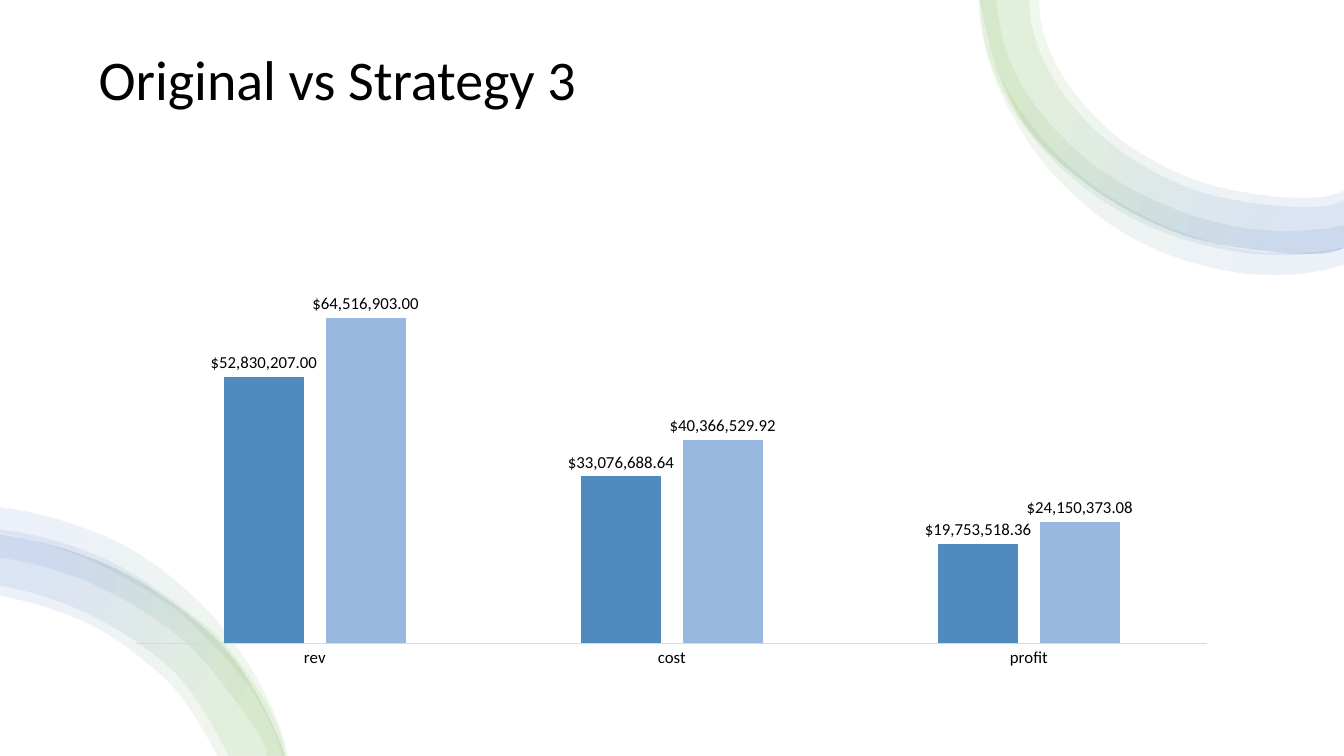
import dataclasses

import lxml.etree
import pptx
import pptx.chart.data
import pptx.dml.color
import pptx.enum.chart
import pptx.enum.shapes
import pptx.enum.text
import pptx.oxml
import pptx.oxml.ns
import pptx.util

# Grid: one column and one row are each a tenth of an inch
COLUMNS, ROWS = 133.33, 75
MODULE = pptx.util.Inches(0.1)
FONT = "Calibri"
COLORS = {
    "paper": "FFFFFF",
    "ink": "000000",
    "green": "70AD47",
    "blue": "4472C4",
    "baseline": "D9D9D9",
    "original": "518ABD",
    "strategy": "98B8E0",
}
CURRENCY = '"$"#,##0.00'
FADE = [(16, "green"), (85, "blue")]
FADE_OPACITY = 10

Point = tuple[float, float]


@dataclasses.dataclass(frozen=True)
class Band:
    """A curved ribbon between two edges, each given by points on the grid."""
    outer: list[Point]
    inner: list[Point]


@dataclasses.dataclass(frozen=True)
class Corner:
    fade_angle: int
    bands: list[Band]


@dataclasses.dataclass(frozen=True)
class Plan:
    name: str
    color: str
    amounts: tuple[float, ...]


TOP_SWEEP = [(97.3, 0), (100.9, 11.1), (108, 18.4), (117.4, 23.3), (127.9, 25.1), (COLUMNS, 24.5)]
BOTTOM_SWEEP = [(28.2, ROWS), (23.5, 65.9), (17.3, 60), (9.6, 55.6), (0, 53)]

CORNERS = [
    Corner(20, [
        Band(TOP_SWEEP,
             [(103.1, 0), (105, 6.8), (110.6, 13.4), (118.7, 17.9), (127.9, 19.6), (COLUMNS, 18.8)]),
        Band(TOP_SWEEP,
             [(102.1, 0), (104.2, 7.3), (110, 14.1), (118.4, 18.8), (127.9, 20.5), (COLUMNS, 19.8)]),
        Band([(97.3, 0), (99.4, 8.9), (105.4, 16.8), (113.9, 22.4), (123.9, 25.1), (COLUMNS, 24.6)],
             [(98.9, 0), (101.2, 8.1), (107.1, 15.2), (115, 20.1), (124.2, 22.7), (COLUMNS, 22.3)]),
        Band([(97.1, 0), (99.1, 8.7), (104.6, 17.4), (113.1, 24), (123.6, 27.1), (COLUMNS, 26.2)],
             [(97.4, 0), (99.7, 8.4), (105.9, 16.3), (114.3, 21.8), (123.9, 24.8), (COLUMNS, 24.5)]),
    ]),
    Corner(200, [
        Band([(28.5, ROWS), (25.9, 68.2), (21, 61.1), (14.2, 55.3), (7.3, 52.1), (0, 50.4)],
             [(27.9, ROWS), (25, 68.7), (19.5, 62.4), (15.1, 59), (7.6, 55.1), (0, 53)]),
        Band(BOTTOM_SWEEP,
             [(21.5, ROWS), (17.8, 69), (14.3, 65.6), (10.1, 62.6), (5.3, 60.5), (0, 59.1)]),
        Band([(28.3, ROWS), (26.8, 70.5), (23.8, 65.9), (20, 61.8), (10.6, 55.6), (0, 52.6)],
             [(26.3, ROWS), (24.7, 71.5), (18.2, 63.6), (9.4, 58.1), (0, 55.4)]),
        Band(BOTTOM_SWEEP,
             [(22.6, ROWS), (18.7, 68.4), (15, 64.8), (10.6, 61.9), (5.6, 59.6), (0, 58.1)]),
    ]),
]

MEASURES = ["rev", "cost", "profit"]
PLANS = [
    Plan("Series 1", "original", (52830207, 33076688.64, 19753518.36)),
    Plan("Series 2", "strategy", (64516903, 40366529.92, 24150373.08)),
]


def grid(units: float) -> int:
    return round(units * MODULE)


def rgb(color: str) -> pptx.dml.color.RGBColor:
    return pptx.dml.color.RGBColor.from_string(COLORS[color])


def set_font(font, size: float) -> None:
    font.name = FONT
    font.size = pptx.util.Pt(size)
    font.color.rgb = rgb("ink")


def beyond(a: Point, b: Point, c: Point) -> Point:
    """Continue the curve c, b, a by one point."""
    return 3 * a[0] - 3 * b[0] + c[0], 3 * a[1] - 3 * b[1] + c[1]


def curve_spans(edge: list[Point]) -> list[list[Point]]:
    """Bezier spans (two handles and an end) of a Catmull-Rom curve."""
    padded = [beyond(*edge[:3]), *edge, beyond(*edge[:-4:-1])]
    return [
        [(b[0] + (c[0] - a[0]) / 6, b[1] + (c[1] - a[1]) / 6),
         (c[0] - (d[0] - b[0]) / 6, c[1] - (d[1] - b[1]) / 6),
         c]
        for a, b, c, d in zip(padded, padded[1:], padded[2:], padded[3:])
    ]


def fade_fill(angle: int) -> lxml.etree._Element:
    stops = "".join(
        f'<a:gs pos="{share * 1000}"><a:srgbClr val="{COLORS[color]}">'
        f'<a:alpha val="{FADE_OPACITY * 1000}"/></a:srgbClr></a:gs>'
        for share, color in FADE
    )
    return pptx.oxml.parse_xml(
        f'<a:gradFill {pptx.oxml.ns.nsdecls("a")} rotWithShape="1"><a:gsLst>{stops}</a:gsLst>'
        f'<a:lin ang="{angle * 60000}" scaled="0"/></a:gradFill>'
    )


def draw_band(slide, band: Band, fade_angle: int) -> None:
    inner = band.inner[::-1]
    start, *rest = [(grid(x), grid(y)) for x, y in band.outer + inner]
    builder = slide.shapes.build_freeform(*start)
    builder.add_line_segments(rest, close=True)
    ribbon = builder.convert_to_shape()
    ribbon.shadow.inherit = False
    ribbon.line.fill.background()
    outline = ribbon.element.spPr.find(pptx.oxml.ns.qn("a:ln"))
    outline.addprevious(fade_fill(fade_angle))

    # Bend both edges; the straight end between them stays
    sides = list(ribbon.element.spPr.iter(pptx.oxml.ns.qn("a:lnTo")))
    spans = [*curve_spans(band.outer), None, *curve_spans(inner)]
    for side, span in zip(sides, spans):
        if span is None:
            continue
        points = "".join(
            f'<a:pt x="{grid(x) - ribbon.left}" y="{grid(y) - ribbon.top}"/>' for x, y in span
        )
        bend = f'<a:cubicBezTo {pptx.oxml.ns.nsdecls("a")}>{points}</a:cubicBezTo>'
        side.getparent().replace(side, pptx.oxml.parse_xml(bend))


def draw_paper(slide) -> None:
    paper = slide.shapes.add_shape(
        pptx.enum.shapes.MSO_SHAPE.RECTANGLE, 0, 0, grid(COLUMNS), grid(ROWS))
    paper.shadow.inherit = False
    paper.fill.solid()
    paper.fill.fore_color.rgb = rgb("paper")
    paper.line.fill.background()


def draw_title(slide, wording: str) -> None:
    title = slide.shapes.add_textbox(grid(8.8), grid(5), grid(115.7), grid(13)).text_frame
    title.word_wrap = True
    title.vertical_anchor = pptx.enum.text.MSO_ANCHOR.MIDDLE
    heading = title.paragraphs[0]
    heading.text = wording
    heading.line_spacing = 0.9
    set_font(heading.font, 40)


def draw_comparison(slide) -> None:
    amounts = pptx.chart.data.CategoryChartData(number_format=CURRENCY)
    amounts.categories = MEASURES
    for plan in PLANS:
        amounts.add_series(plan.name, plan.amounts)
    comparison = slide.shapes.add_chart(
        pptx.enum.chart.XL_CHART_TYPE.COLUMN_CLUSTERED,
        grid(11.3), grid(28), grid(110.7), grid(39), amounts,
    ).chart
    comparison.has_legend = False
    comparison.has_title = False
    set_font(comparison.font, 10)

    # Axes
    measures, dollars = comparison.category_axis, comparison.value_axis
    measures.major_tick_mark = pptx.enum.chart.XL_TICK_MARK.NONE
    measures.format.line.color.rgb = rgb("baseline")
    measures.format.line.width = pptx.util.Pt(0.75)
    set_font(measures.tick_labels.font, 12)
    dollars.minimum_scale, dollars.maximum_scale = 0, 70_000_000
    dollars.has_major_gridlines = False
    dollars.visible = False

    # Columns and their amounts
    columns = comparison.plots[0]
    columns.gap_width, columns.overlap = 219, -27
    columns.vary_by_categories = False
    for plan, series in zip(PLANS, columns.series):
        series.format.fill.solid()
        series.format.fill.fore_color.rgb = rgb(plan.color)
        labels = series.data_labels
        labels.show_value = True
        labels.position = pptx.enum.chart.XL_LABEL_POSITION.OUTSIDE_END
        labels.number_format, labels.number_format_is_linked = CURRENCY, False
        set_font(labels.font, 12)


def main() -> None:
    deck = pptx.Presentation()
    deck.slide_width, deck.slide_height = grid(COLUMNS), grid(ROWS)
    slide = deck.slides.add_slide(deck.slide_layouts[6])
    draw_paper(slide)
    draw_title(slide, "Original vs Strategy 3\v")
    for corner in CORNERS:
        for band in corner.bands:
            draw_band(slide, band, corner.fade_angle)
    draw_comparison(slide)
    deck.save("out.pptx")


if __name__ == "__main__":
    main()
